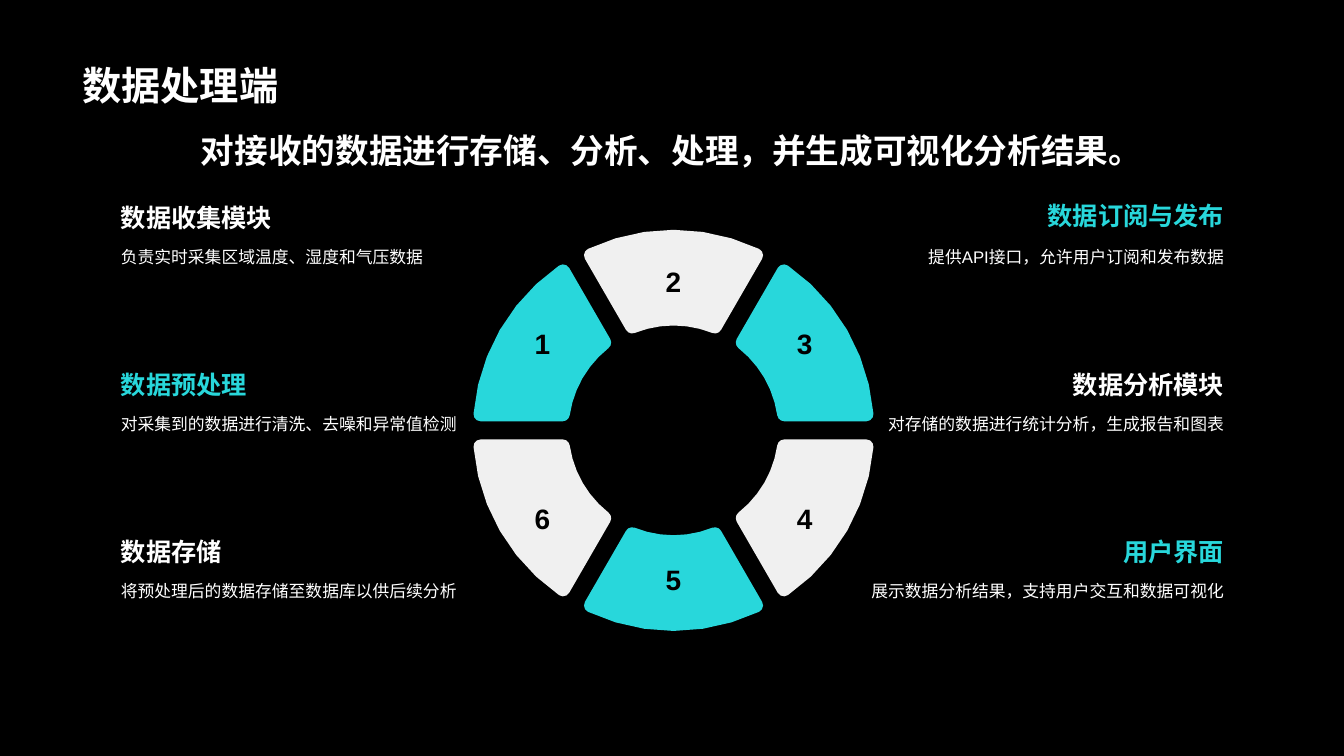
from dataclasses import dataclass
from math import asin, cos, pi, radians, sin

from pptx import Presentation
from pptx.dml.color import RGBColor
from pptx.enum.lang import MSO_LANGUAGE_ID
from pptx.enum.text import MSO_ANCHOR, PP_ALIGN
from pptx.util import Inches, Pt

LEFT, CENTER, RIGHT = PP_ALIGN.LEFT, PP_ALIGN.CENTER, PP_ALIGN.RIGHT
TOP, MIDDLE, BOTTOM = MSO_ANCHOR.TOP, MSO_ANCHOR.MIDDLE, MSO_ANCHOR.BOTTOM
CHINESE = MSO_LANGUAGE_ID.SIMPLIFIED_CHINESE


@dataclass(frozen=True)
class Theme:
    font: str = "Arial"
    black: RGBColor = RGBColor(0x00, 0x00, 0x00)
    white: RGBColor = RGBColor(0xFF, 0xFF, 0xFF)
    teal: RGBColor = RGBColor(0x28, 0xD7, 0xDB)
    pale: RGBColor = RGBColor(0xF0, 0xF0, 0xF0)
    title: int = 28
    subtitle: int = 24
    number: int = 20
    heading: int = 18
    body: int = 12


RING_CENTER = (6.68, 4.27)
OUTER, INNER = 1.99, 1.04
HALF_GAP, CORNER = 0.09, 0.07

FIRST_ROW, LAST_ROW = 1.94, 5.25
ROW_STEP = (LAST_ROW - FIRST_ROW) / 2
HEADING_HEIGHT, BODY_HEIGHT = 0.42, 1.03
HEADING_WIDTH = 3.58
LEFT_EDGE, RIGHT_EDGE = 1.1, 12.24

# Heading, its anchor, body text, width of the body box
LEFT_MODULES = [
    ("数据收集模块", BOTTOM, "负责实时采集区域温度、湿度和气压数据", 3.58),
    ("数据预处理", BOTTOM, "对采集到的数据进行清洗、去噪和异常值检测", 3.58),
    ("数据存储", BOTTOM, "将预处理后的数据存储至数据库以供后续分析", 3.58),
]
RIGHT_MODULES = [
    ("数据订阅与发布", TOP, "提供API接口，允许用户订阅和发布数据", 3.58),
    ("数据分析模块", BOTTOM, "对存储的数据进行统计分析，生成报告和图表", 3.58),
    ("用户界面", BOTTOM, "展示数据分析结果，支持用户交互和数据可视化", 3.82),
]


def arc(cx, cy, radius, start, end, steps=3):
    angles = [start + (end - start) * i / steps for i in range(steps + 1)]
    return [(cx + radius * cos(a), cy + radius * sin(a)) for a in angles]


def slice_outline(direction):
    """Points of a sixth of the ring, with rounded corners, facing direction (radians)."""
    edge = pi / 6
    normal = edge + pi / 2

    def corner_center(radius):
        angle = edge - asin((HALF_GAP + CORNER) / radius)
        return angle, radius * cos(angle), radius * sin(angle)

    out_angle, out_x, out_y = corner_center(OUTER - CORNER)
    in_angle, in_x, in_y = corner_center(INNER + CORNER)
    half = (arc(0, 0, OUTER, 0, out_angle)[:-1]
            + arc(out_x, out_y, CORNER, out_angle, normal)
            + arc(in_x, in_y, CORNER, normal, in_angle + pi)
            + arc(0, 0, INNER, in_angle, 0)[1:])
    points = half + [(x, -y) for x, y in half[-2:0:-1]]
    c, s = cos(direction), sin(direction)
    cx, cy = RING_CENTER
    return [(cx + x * c - y * s, cy + x * s + y * c) for x, y in points]


def write(tf, text, *, theme, size, color, bold=False, align=LEFT,
          anchor=TOP, spacing=None):
    tf.word_wrap = True
    tf.vertical_anchor = anchor
    p = tf.paragraphs[0]
    p.alignment = align
    if spacing:
        p.line_spacing = spacing
    r = p.add_run()
    r.text = text
    r.font.name = theme.font
    r.font.size = Pt(size)
    r.font.bold = bold
    r.font.color.rgb = color
    r.font.language_id = CHINESE


class SlideBuilder:
    def __init__(self, prs, theme):
        self.theme = theme
        self.s = prs.slides.add_slide(prs.slide_layouts[6])
        fill = self.s.background.fill
        fill.solid()
        fill.fore_color.rgb = theme.black

    def text(self, x, y, w, h, text, **style):
        sp = self.s.shapes.add_textbox(Inches(x), Inches(y), Inches(w), Inches(h))
        write(sp.text_frame, text, theme=self.theme, **style)

    def ring_slice(self, number, direction, color):
        points = [(Inches(x), Inches(y)) for x, y in slice_outline(direction)]
        builder = self.s.shapes.build_freeform(*points[0])
        builder.add_line_segments(points[1:], close=True)
        sp = builder.convert_to_shape()
        sp.shadow.inherit = False
        sp.fill.solid()
        sp.fill.fore_color.rgb = color
        sp.line.fill.background()
        write(sp.text_frame, str(number), theme=self.theme, size=self.theme.number,
              color=self.theme.black, bold=True, align=CENTER, anchor=MIDDLE)

    def module(self, row, heading, anchor, body, body_width, color, align):
        def left(width):
            return LEFT_EDGE if align == LEFT else RIGHT_EDGE - width

        y = FIRST_ROW + row * ROW_STEP
        self.text(left(HEADING_WIDTH), y, HEADING_WIDTH, HEADING_HEIGHT, heading,
                  size=self.theme.heading, color=color, bold=True,
                  align=align, anchor=anchor)
        self.text(left(body_width), y + HEADING_HEIGHT, body_width, BODY_HEIGHT, body,
                  size=self.theme.body, color=self.theme.white,
                  align=align, spacing=1.2)


def main():
    prs = Presentation()
    prs.slide_width, prs.slide_height = Inches(13.33), Inches(7.5)
    theme = Theme()
    slide = SlideBuilder(prs, theme)

    slide.text(0.72, 0.14, 11.88, 0.98, "数据处理端", size=theme.title,
               color=theme.white, bold=True, anchor=BOTTOM)
    slide.text(0.72, 1.24, 11.88, 0.5,
               "对接收的数据进行存储、分析、处理，并生成可视化分析结果。",
               size=theme.subtitle, color=theme.white, bold=True, align=CENTER)

    for number in range(1, 7):
        color = theme.teal if number % 2 else theme.pale
        slide.ring_slice(number, radians(150 + 60 * number), color)

    columns = [(LEFT_MODULES, LEFT, 1), (RIGHT_MODULES, RIGHT, 0)]
    for modules, align, teal_parity in columns:
        for row, (heading, anchor, body, width) in enumerate(modules):
            color = theme.teal if row % 2 == teal_parity else theme.white
            slide.module(row, heading, anchor, body, width, color, align)

    prs.save("out.pptx")


if __name__ == "__main__":
    main()
